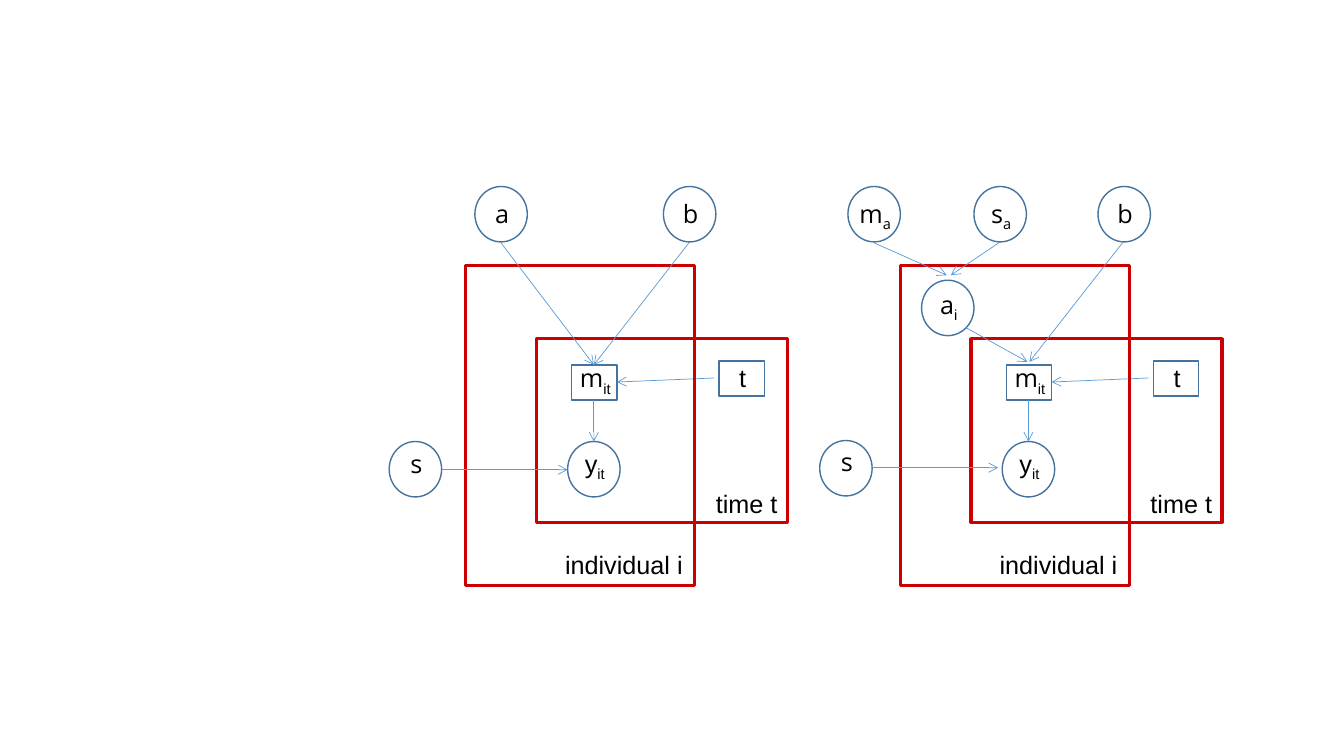
from typing import NamedTuple

from lxml import etree
from pptx import Presentation
from pptx.dml.color import RGBColor
from pptx.enum.shapes import MSO_CONNECTOR, MSO_SHAPE
from pptx.enum.text import MSO_AUTO_SIZE, PP_ALIGN
from pptx.oxml.ns import qn
from pptx.util import Inches, Pt

CIRCLE, BOX = MSO_SHAPE.OVAL, MSO_SHAPE.RECTANGLE
STRAIGHT = MSO_CONNECTOR.STRAIGHT
CENTER, RIGHT = PP_ALIGN.CENTER, PP_ALIGN.RIGHT
GROW = MSO_AUTO_SIZE.SHAPE_TO_FIT_TEXT

ARIAL, OPEN_SANS = "Arial", "Open Sans"
BLACK, NODE_BLUE, ARROW_BLUE, PLATE_RED = "000000", "43739E", "5B9BD5", "CC0000"
NODE_SIZES = {CIRCLE: (0.52, 0.55), BOX: (0.45, 0.35)}
LABEL_WIDTH, LABEL_HEIGHT = 0.94, 0.4
PLATE_LABEL_WIDTH = 1.96
PANEL_SHIFT = 4.31  # distance from the simple to the hierarchical model


class Node(NamedTuple):
    kind: int
    left: float
    top: float
    label_top: float
    label: str
    subscript: str = ""
    font: str = OPEN_SANS
    subscript_font: str = OPEN_SANS


class Arrow(NamedTuple):
    start: tuple[float, float]
    end: tuple[float, float]


class Plate(NamedTuple):
    left: float
    top: float
    width: float
    height: float
    label: str
    label_left: float
    label_top: float


# Parts found in both models, placed for the left one
SHARED_NODES = [
    Node(CIRCLE, 6.58, 1.85, 1.92, "b"),
    Node(BOX, 5.67, 3.62, 3.55, "m", "it", OPEN_SANS, ARIAL),
    Node(BOX, 7.13, 3.58, 3.55, "t", font=ARIAL),
    Node(CIRCLE, 5.63, 4.38, 4.4, "y", "it", ARIAL, ARIAL),
]
SHARED_ARROWS = [
    Arrow((7.08, 3.75), (6.12, 3.79)),
    Arrow((5.89, 3.97), (5.89, 4.38)),
]
PLATES = [
    Plate(5.32, 3.36, 2.49, 1.82, "time t", 5.85, 4.8),
    Plate(4.62, 2.63, 2.27, 3.18, "individual i", 4.91, 5.4),
]

# Parts of the simple model only
SIMPLE_NODES = [
    Node(CIRCLE, 4.71, 1.85, 1.92, "a"),
    Node(CIRCLE, 3.86, 4.38, 4.4, "s"),
]
SIMPLE_ARROWS = [
    Arrow((4.97, 2.41), (5.89, 3.62)),
    Arrow((6.84, 2.4), (5.89, 3.62)),
    Arrow((4.38, 4.66), (5.63, 4.66)),
]

# Parts of the hierarchical model only
HIERARCHICAL_NODES = [
    Node(CIRCLE, 8.41, 1.85, 1.92, "m", "a"),
    Node(CIRCLE, 9.66, 1.85, 1.92, "s", "a"),
    Node(CIRCLE, 9.14, 2.78, 2.82, "a", "i", OPEN_SANS, ARIAL),
    Node(CIRCLE, 8.13, 4.37, 4.38, "s"),
]
HIERARCHICAL_ARROWS = [
    Arrow((8.67, 2.41), (9.39, 2.73)),
    Arrow((9.92, 2.4), (9.43, 2.73)),
    Arrow((11.14, 2.4), (10.21, 3.59)),
    Arrow((9.58, 3.25), (10.19, 3.59)),
    Arrow((8.65, 4.64), (9.9, 4.64)),
]


def color(value: str) -> RGBColor:
    return RGBColor.from_string(value)


def add_outline(slide, kind: int, left: float, top: float, width: float,
                height: float, line_color: str, line_width: float) -> None:
    shape = slide.shapes.add_shape(
        kind, Inches(left), Inches(top), Inches(width), Inches(height))
    shape.shadow.inherit = False
    shape.fill.background()
    shape.line.color.rgb = color(line_color)
    shape.line.width = Pt(line_width)


def add_run(paragraph, text: str, font: str, lowered: bool = False) -> None:
    run = paragraph.add_run()
    run.text = text
    run.font.name = font
    run.font.size = Pt(18)
    run.font.color.rgb = color(BLACK)
    if lowered:
        run._r.get_or_add_rPr().set("baseline", "-25000")


def add_label(slide, left: float, top: float, width: float, alignment: int):
    text_box = slide.shapes.add_textbox(
        Inches(left), Inches(top), Inches(width), Inches(LABEL_HEIGHT))
    text_box.text_frame.word_wrap = True
    text_box.text_frame.auto_size = GROW
    paragraph = text_box.text_frame.paragraphs[0]
    paragraph.alignment = alignment
    return paragraph


def add_node(slide, node: Node, shift: float) -> None:
    width, height = NODE_SIZES[node.kind]
    left = node.left + shift
    label_left = left + (width - LABEL_WIDTH) / 2 + 0.01
    paragraph = add_label(slide, label_left, node.label_top, LABEL_WIDTH, CENTER)
    add_run(paragraph, node.label, node.font)
    if node.subscript:
        add_run(paragraph, node.subscript, node.subscript_font, lowered=True)
    add_outline(slide, node.kind, left, node.top, width, height, NODE_BLUE, 1)


def add_arrow(slide, arrow: Arrow, shift: float) -> None:
    (start_x, start_y), (end_x, end_y) = arrow
    connector = slide.shapes.add_connector(
        STRAIGHT, Inches(start_x + shift), Inches(start_y),
        Inches(end_x + shift), Inches(end_y))
    connector.line.color.rgb = color(ARROW_BLUE)
    connector.line.width = Pt(0.5)
    line = connector.line._get_or_add_ln()
    etree.SubElement(line, qn("a:tailEnd"), type="arrow")
    etree.SubElement(connector._element.spPr, qn("a:effectLst"))


def add_plate(slide, plate: Plate, shift: float) -> None:
    add_outline(slide, BOX, plate.left + shift, plate.top, plate.width,
                plate.height, PLATE_RED, 2.25)
    paragraph = add_label(slide, plate.label_left + shift, plate.label_top,
                          PLATE_LABEL_WIDTH, RIGHT)
    add_run(paragraph, plate.label, ARIAL)


def add_parts(slide, nodes: list[Node], arrows: list[Arrow],
              plates: list[Plate], shift: float = 0) -> None:
    for node in nodes:
        add_node(slide, node, shift)
    for arrow in arrows:
        add_arrow(slide, arrow, shift)
    for plate in plates:
        add_plate(slide, plate, shift)


presentation = Presentation()
presentation.slide_width = Inches(13.33)
presentation.slide_height = Inches(7.5)
slide = presentation.slides.add_slide(presentation.slide_layouts[6])

# Both models share their core; each adds its own priors
for panel_shift in (0, PANEL_SHIFT):
    add_parts(slide, SHARED_NODES, SHARED_ARROWS, PLATES, panel_shift)
add_parts(slide, SIMPLE_NODES, SIMPLE_ARROWS, [])
add_parts(slide, HIERARCHICAL_NODES, HIERARCHICAL_ARROWS, [])

presentation.save("out.pptx")
